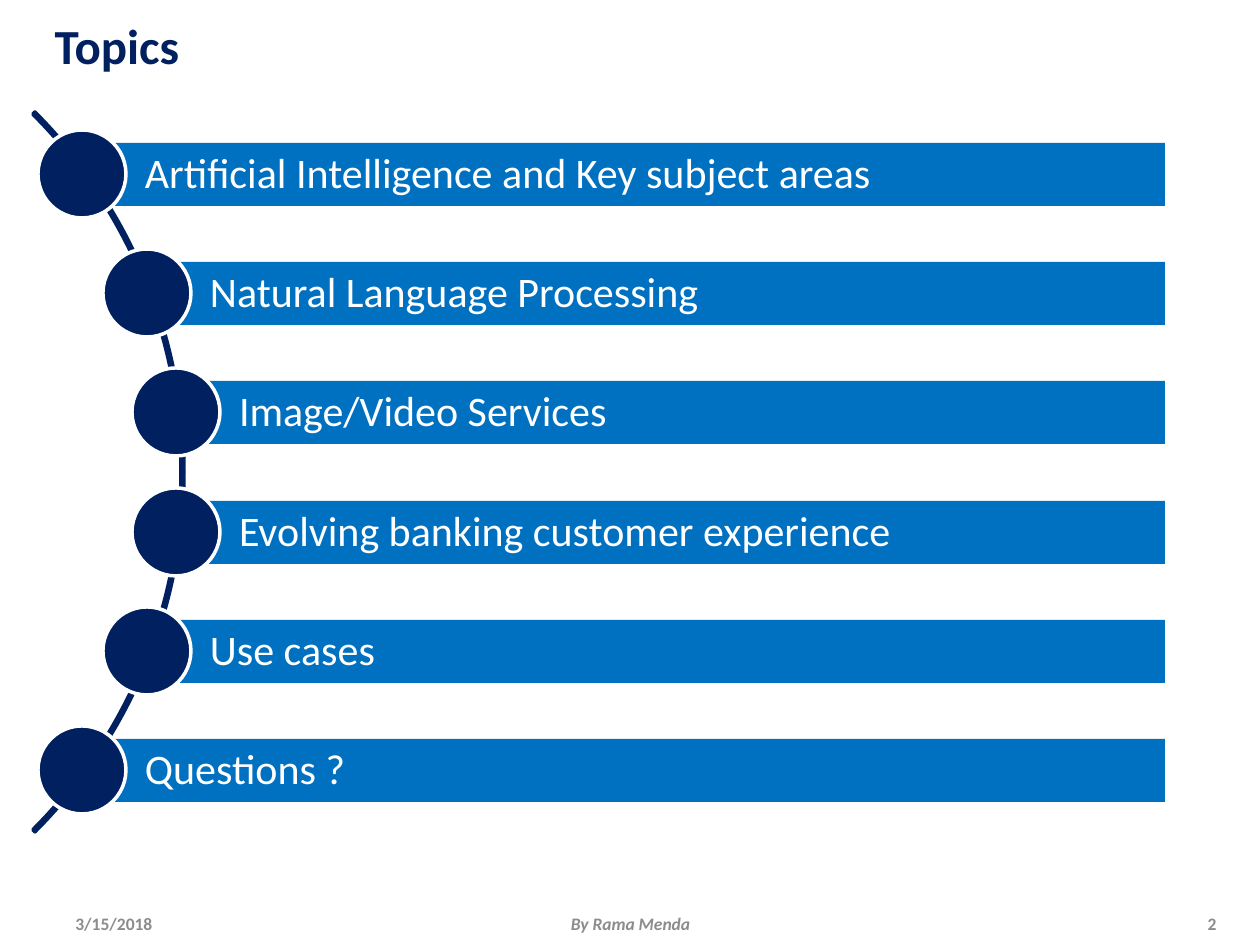
from dataclasses import dataclass
from math import sqrt

from pptx import Presentation
from pptx.dml.color import RGBColor
from pptx.enum.shapes import MSO_SHAPE
from pptx.enum.text import MSO_ANCHOR, MSO_AUTO_SIZE, PP_ALIGN
from pptx.util import Emu, Pt

RECTANGLE, OVAL, BLOCK_ARC = MSO_SHAPE.RECTANGLE, MSO_SHAPE.OVAL, MSO_SHAPE.BLOCK_ARC
LEFT, CENTER, RIGHT = PP_ALIGN.LEFT, PP_ALIGN.CENTER, PP_ALIGN.RIGHT
MIDDLE = MSO_ANCHOR.MIDDLE
NO_AUTOFIT = MSO_AUTO_SIZE.NONE
TITLE_ONLY_LAYOUT = 5
PX_PER_INCH = 126


@dataclass(frozen=True)
class Theme:
    font: str = "Calibri"
    navy: RGBColor = RGBColor(0x00, 0x20, 0x60)
    blue: RGBColor = RGBColor(0x00, 0x70, 0xC0)
    white: RGBColor = RGBColor(0xFF, 0xFF, 0xFF)
    grey: RGBColor = RGBColor(0x8C, 0x8C, 0x8C)
    title_size: int = 28
    topic_size: int = 24
    footer_size: int = 10
    line_width: int = 2


@dataclass(frozen=True)
class Box:
    left: int
    top: int
    width: int
    height: int


@dataclass(frozen=True)
class Footer:
    text: str
    left: int
    width: int
    align: PP_ALIGN
    italic: bool = False


THEME = Theme()
TOPICS = (
    "Artificial Intelligence and Key subject areas",
    "Natural Language Processing",
    "Image/Video Services",
    "Evolving banking customer experience",
    "Use cases",
    "Questions ?",
)
FOOTERS = (
    Footer("3/15/2018", 63, 294, LEFT),
    Footer("2", 1166, 63, RIGHT),
    Footer("By Rama Menda", 431, 399, CENTER, italic=True),
)
FOOTER_TOP, FOOTER_HEIGHT = 914, 19
TITLE_BOX = Box(42, 6, 1187, 78)
ARC_CENTER_X, ARC_CENTER_Y, ARC_RADIUS = -325, 472, 509
ARC_ADJUSTMENTS = (189, 27, 0.003)  # from 315 to 45 degrees, thin band
MARKER_ORBIT = 505
MARKER_SIZE = 88
BAR_RIGHT, BAR_HEIGHT, ROW_PITCH = 1165, 63, 119.4
BAR_INDENT, BAR_INSET = 63, 9


def px(length: float) -> Emu:
    return Emu(round(length * 914400 / PX_PER_INCH))


def place(shape, box: Box) -> None:
    for name in ("left", "top", "width", "height"):
        setattr(shape, name, px(getattr(box, name)))


def add_shape(slide, kind, box: Box, fill: RGBColor, line: RGBColor | None = None):
    shape = slide.shapes.add_shape(
        kind, px(box.left), px(box.top), px(box.width), px(box.height)
    )
    shape.shadow.inherit = False
    shape.fill.solid()
    shape.fill.fore_color.rgb = fill
    if line is None:
        shape.line.fill.background()
    else:
        shape.line.color.rgb = line
        shape.line.width = Pt(THEME.line_width)
    return shape


def write(shape, text: str, size: int, color: RGBColor, align=LEFT,
          bold: bool = False, italic: bool = False, **frame_format) -> None:
    """Fill a shape with one formatted paragraph."""
    frame = shape.text_frame
    frame_values = {"word_wrap": True, "auto_size": NO_AUTOFIT, "vertical_anchor": MIDDLE}
    for name, value in (frame_values | frame_format).items():
        setattr(frame, name, value)
    paragraph = frame.paragraphs[0]
    paragraph.alignment = align
    run = paragraph.add_run()
    run.text = text
    font_values = {"name": THEME.font, "size": Pt(size), "bold": bold, "italic": italic}
    for name, value in font_values.items():
        setattr(run.font, name, value)
    run.font.color.rgb = color


def add_arc(slide) -> None:
    diameter = 2 * ARC_RADIUS
    box = Box(ARC_CENTER_X - ARC_RADIUS, ARC_CENTER_Y - ARC_RADIUS, diameter, diameter)
    arc = add_shape(slide, BLOCK_ARC, box, THEME.navy, THEME.navy)
    for index, value in enumerate(ARC_ADJUSTMENTS):
        arc.adjustments[index] = value


def add_topic(slide, index: int, topic: str) -> None:
    """Draw a bar whose round marker sits on the arc."""
    offset = (index - (len(TOPICS) - 1) / 2) * ROW_PITCH
    center_x = round(ARC_CENTER_X + sqrt(MARKER_ORBIT**2 - offset**2))
    center_y = round(ARC_CENTER_Y + offset)
    bar_box = Box(center_x, center_y - BAR_HEIGHT // 2, BAR_RIGHT - center_x, BAR_HEIGHT)
    bar = add_shape(slide, RECTANGLE, bar_box, THEME.blue)
    inset = px(BAR_INSET)
    write(bar, topic, THEME.topic_size, THEME.white, margin_left=px(BAR_INDENT),
          margin_top=inset, margin_right=inset, margin_bottom=inset)
    bar.text_frame.paragraphs[0].line_spacing = 0.9
    radius = MARKER_SIZE // 2
    marker_box = Box(center_x - radius, center_y - radius, MARKER_SIZE, MARKER_SIZE)
    add_shape(slide, OVAL, marker_box, THEME.navy, THEME.white)


def add_footer(slide, footer: Footer) -> None:
    text_box = slide.shapes.add_textbox(
        px(footer.left), px(FOOTER_TOP), px(footer.width), px(FOOTER_HEIGHT)
    )
    write(text_box, footer.text, THEME.footer_size, THEME.grey, footer.align,
          bold=True, italic=footer.italic, margin_top=0, margin_bottom=0)


def main() -> None:
    presentation = Presentation()
    presentation.slide_width, presentation.slide_height = px(1260), px(945)
    slide = presentation.slides.add_slide(presentation.slide_layouts[TITLE_ONLY_LAYOUT])
    title = slide.shapes.title
    place(title, TITLE_BOX)
    write(title, "Topics", THEME.title_size, THEME.navy, bold=True)
    for footer in FOOTERS:
        add_footer(slide, footer)
    add_arc(slide)
    for index, topic in enumerate(TOPICS):
        add_topic(slide, index, topic)
    presentation.save("out.pptx")


if __name__ == "__main__":
    main()
